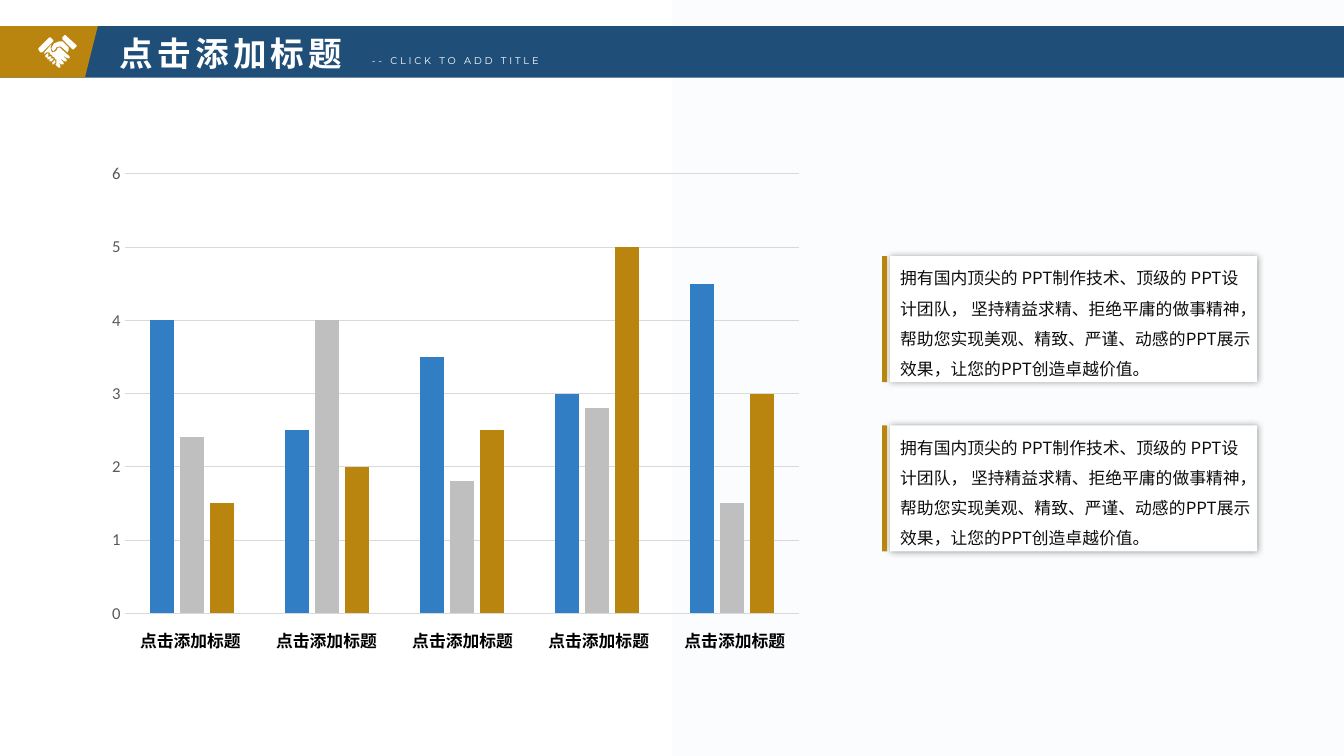
from lxml import etree
from pptx import Presentation
from pptx import util as u
from pptx.chart import data as cd
from pptx.dml.color import RGBColor
from pptx.enum import chart as ch, shapes, text
from pptx.oxml import ns

WHITE = RGBColor(0xFF, 0xFF, 0xFF)
PALE = RGBColor(0xFB, 0xFC, 0xFE)
NAVY = RGBColor(0x1F, 0x4E, 0x79)
GOLD = RGBColor(0xBA, 0x85, 0x0E)
BLUE = RGBColor(0x32, 0x7E, 0xC4)
GREY = RGBColor(0xBF, 0xBF, 0xBF)
GRID = RGBColor(0xD9, 0xD9, 0xD9)
TICK = RGBColor(0x59, 0x59, 0x59)
INK = RGBColor(0x0D, 0x0D, 0x0D)
BLACK = RGBColor(0, 0, 0)

SANS = "Noto Sans CJK SC"
TITLE = "点击添加标题"
SUB = "-- CLICK TO ADD TITLE"
BODY = ("拥有国内顶尖的 PPT制作技术、顶级的 PPT设计团队， 坚持精益求精、拒绝平庸的做事精神，"
        "帮助您实现美观、精致、严谨、动感的PPT展示效果，让您的PPT创造卓越价值。")
NOTES = [BODY, BODY]
LABELS = [TITLE] * 5
SERIES = [
    ("Series 1", (4, 2.5, 3.5, 3, 4.5), BLUE),
    ("Series 2", (2.4, 4, 1.8, 2.8, 1.5), GREY),
    ("Series 3", (1.5, 2, 2.5, 5, 3), GOLD),
]
BANDS = [(-0.47, 14.28, NAVY), (-0.4, 1.37, GOLD)]
HANDS = [
    [[(73, 49), (72, 49), (62, 39), (62, 37), (64, 35), (65, 35), (76, 45), (76, 46)]],
    [[(69, 56), (59, 47), (57, 48), (56, 50), (55, 51), (52, 52), (51, 51), (50, 47),
      (51, 44), (44, 52), (44, 54), (46, 52), (49, 52), (50, 54), (52, 55), (52, 56),
      (54, 57), (55, 59), (56, 59), (56, 63), (55, 64), (58, 67), (60, 67), (60, 65),
      (58, 62), (61, 64), (63, 64), (63, 62), (60, 59), (61, 59), (64, 61), (66, 61),
      (66, 59), (63, 56), (64, 56), (67, 58), (69, 58)]],
    [[(53, 40), (53, 41), (42, 52), (40, 52), (38, 49), (38, 48), (49, 37), (50, 37)]],
    [[(68, 47), (62, 41), (59, 41), (54, 43), (53, 44), (51, 48), (52, 50), (53, 51),
      (55, 49), (56, 47), (60, 46), (67, 52), (68, 50)],
     [(48, 53), (47, 53), (45, 55), (45, 57), (47, 57), (48, 55)],
     [(51, 56), (49, 56), (47, 57), (47, 59), (49, 59), (51, 57)],
     [(54, 60), (52, 62), (52, 64), (53, 64), (55, 62), (55, 60)],
     [(53, 58), (51, 58), (49, 60), (49, 61), (51, 61), (53, 59)]],
]
HEAD = dict(size=u.Pt(24), name=SANS, bold=True)
SMALL = dict(size=u.Pt(7), name="Montserrat")
LABEL = dict(size=u.Pt(12), name=SANS, bold=True)
NOTE = dict(size=u.Pt(12), name=SANS)


def put(item, vals):
    for key, val in vals.items():
        setattr(item, key, val)


def paint(shape, color):
    shape.shadow.inherit = False
    shape.fill.solid()
    shape.fill.fore_color.rgb = color
    shape.line.fill.background()


def block(kind, box, color):
    shape = slide.shapes.add_shape(kind, *map(u.Inches, box))
    paint(shape, color)
    return shape


def glow(shape):
    fx = shape._element.spPr.find(ns.qn("a:effectLst"))
    shade = etree.SubElement(fx, ns.qn("a:outerShdw"), blurRad="63500", dist="0", dir="0")
    tone = etree.SubElement(shade, ns.qn("a:srgbClr"), val="000000")
    etree.SubElement(tone, ns.qn("a:alpha"), val="40000")


def write(words, box, form, color, gap=0, lead=None):
    frame = slide.shapes.add_textbox(*map(u.Inches, box)).text_frame
    put(frame, dict(word_wrap=True, auto_size=text.MSO_AUTO_SIZE.SHAPE_TO_FIT_TEXT))
    para = frame.paragraphs[0]
    if lead:
        para.line_spacing = lead
    run = para.add_run()
    run.text = words
    put(run.font, form)
    run.font.color.rgb = color
    props = run._r.get_or_add_rPr()
    etree.SubElement(props, ns.qn("a:ea"), typeface=form["name"])
    if gap:
        props.set("spc", str(gap * 100))


def icon():
    for loops in HANDS:
        pen = slide.shapes.build_freeform(*loops[0][0], scale=u.Inches(0.01))
        for num, loop in enumerate(loops):
            if num:
                pen.move_to(*loop[0])
            pen.add_line_segments(loop[1:], close=True)
        paint(pen.convert_to_shape(), WHITE)


def graph():
    data = cd.CategoryChartData()
    data.categories = [str(num + 1) for num in range(len(LABELS))]
    for name, vals, _ in SERIES:
        data.add_series(name, vals)
    box = map(u.Inches, (0.97, 1.53, 7.1, 4.75))
    chart = slide.shapes.add_chart(ch.XL_CHART_TYPE.COLUMN_CLUSTERED, *box, data).chart
    put(chart, dict(has_legend=False, has_title=False))
    put(chart.font, dict(size=u.Pt(10), name="Calibri"))
    chart.font.color.rgb = BLACK
    plot = chart.plots[0]
    put(plot, dict(gap_width=219, overlap=-27, vary_by_categories=False))
    for bars, (_, _, color) in zip(plot.series, SERIES):
        bars.format.fill.solid()
        bars.format.fill.fore_color.rgb = color
    chart.category_axis.visible = False
    axis = chart.value_axis
    none = ch.XL_TICK_MARK.NONE
    put(axis, dict(minimum_scale=0, maximum_scale=6, major_unit=1, has_major_gridlines=True,
                   major_tick_mark=none, minor_tick_mark=none))
    axis.format.line.fill.background()
    rule = axis.major_gridlines.format.line
    rule.color.rgb = GRID
    rule.width = u.Pt(0.75)
    font = axis.tick_labels.font
    put(font, dict(size=u.Pt(11.9), name="Calibri"))
    font.color.rgb = TICK


deck = Presentation()
put(deck, dict(slide_width=u.Inches(13.33), slide_height=u.Inches(7.5)))
slide = deck.slides.add_slide(deck.slide_layouts[6])
back = slide.background.fill
back.gradient()
back.gradient_angle = 0
for stop, color in zip(back.gradient_stops, (WHITE, PALE)):
    stop.color.rgb = color

for left, wide, color in BANDS:
    block(shapes.MSO_SHAPE.PARALLELOGRAM, (left, 0.26, wide, 0.51), color)
write(TITLE, (1.09, 0.28, 2.93, 0.51), HEAD, WHITE, 3)
write(SUB, (3.59, 0.49, 2.59, 0.22), SMALL, WHITE, 2)
icon()
graph()
for num, label in enumerate(LABELS):
    write(label, (1.29 + 1.35 * num, 6.21, 1.22, 0.3), LABEL, BLACK)
for num, note in enumerate(NOTES):
    top = 2.54 + 1.68 * num
    glow(block(shapes.MSO_SHAPE.RECTANGLE, (8.83, top, 3.64, 1.25), WHITE))
    block(shapes.MSO_SHAPE.RECTANGLE, (8.75, top, 0.05, 1.25), GOLD)
    write(note, (8.83, top - 0.03, 3.69, 1.31), NOTE, INK, lead=1.5)

deck.save("out.pptx")
